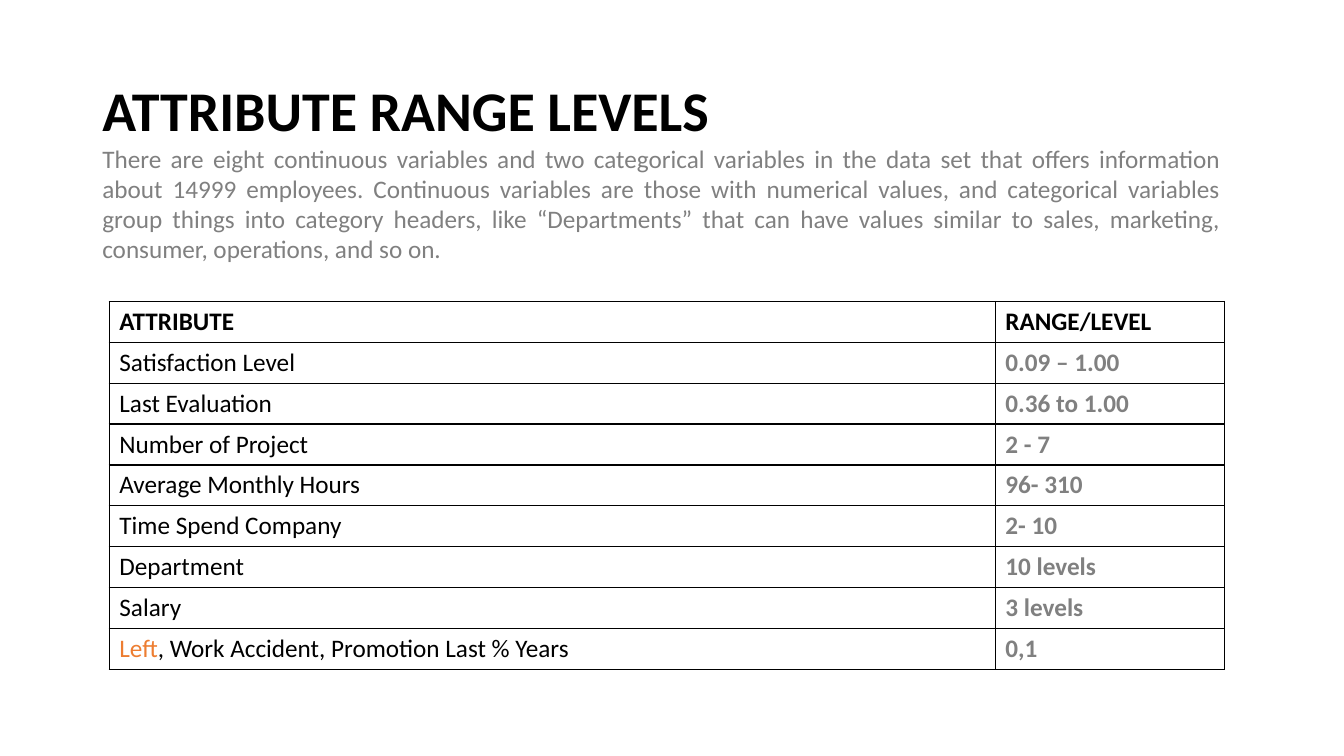
from dataclasses import dataclass

from lxml import etree
from pptx import Presentation
from pptx.dml.color import RGBColor
from pptx.enum.text import MSO_ANCHOR, PP_ALIGN
from pptx.oxml.ns import qn
from pptx.slide import Slide
from pptx.table import _Cell
from pptx.text.text import _Paragraph
from pptx.util import Pt

LEFT, JUST = PP_ALIGN.LEFT, PP_ALIGN.JUSTIFY
TOP, MIDDLE = MSO_ANCHOR.TOP, MSO_ANCHOR.MIDDLE

FONT = "Calibri"
COLORS = {"ink": "000000", "gray": "808080", "accent": "ED7D31"}
EDGES = ("a:lnL", "a:lnR", "a:lnT", "a:lnB")
COLS = (632.9, 163.4)
ROW = 29.2


@dataclass(frozen=True)
class Run:
    text: str
    color: str = "ink"
    bold: bool = False
    size: float = 18


@dataclass(frozen=True)
class Block:
    left: float
    top: float
    width: float
    height: float
    run: Run
    align: PP_ALIGN = LEFT
    anchor: MSO_ANCHOR = TOP
    space: float = 1.0


@dataclass(frozen=True)
class Entry:
    label: tuple[Run, ...]
    level: Run


def entry(name: str, level: str) -> Entry:
    return Entry((Run(name),), Run(level, "gray", True))


BLOCKS = (
    Block(66, 28.8, 828, 104.4, Run("ATTRIBUTE RANGE LEVELS", bold=True, size=40),
          anchor=MIDDLE, space=0.9),
    Block(66, 98.6, 813, 94.5, Run(
        "There are eight continuous variables and two categorical variables "
        "in the data set that offers information about 14999 employees. "
        "Continuous variables are those with numerical values, and categorical "
        "variables group things into category headers, like “Departments” that "
        "can have values similar to sales, marketing, consumer, operations, "
        "and so on.", "gray"), align=JUST),
)

ENTRIES = (
    Entry((Run("ATTRIBUTE", bold=True),), Run("RANGE/LEVEL", bold=True)),
    entry("Satisfaction Level", "0.09 – 1.00"),
    entry("Last Evaluation", "0.36 to 1.00"),
    entry("Number of Project", "2 - 7"),
    entry("Average Monthly Hours", "96- 310"),
    entry("Time Spend Company", "2- 10"),
    entry("Department", "10 levels"),
    entry("Salary", "3 levels"),
    Entry((Run("Left", "accent"), Run(", Work Accident, Promotion Last % Years")),
          Run("0,1", "gray", True)),
)


def add_run(para: _Paragraph, run: Run) -> None:
    part = para.add_run()
    part.text = run.text
    part.font.name = FONT
    part.font.size = Pt(run.size)
    part.font.bold = run.bold
    part.font.color.rgb = RGBColor.from_string(COLORS[run.color])


def add_block(slide: Slide, block: Block) -> None:
    box = slide.shapes.add_textbox(
        Pt(block.left), Pt(block.top), Pt(block.width), Pt(block.height))
    frame = box.text_frame
    frame.word_wrap = True
    frame.vertical_anchor = block.anchor
    para = frame.paragraphs[0]
    para.alignment = block.align
    para.line_spacing = block.space
    add_run(para, block.run)


def add_edges(cell: _Cell) -> None:
    props = cell._tc.get_or_add_tcPr()
    for spot, tag in enumerate(EDGES):
        line = etree.Element(qn(tag), w=str(Pt(1)))
        fill = etree.SubElement(line, qn("a:solidFill"))
        etree.SubElement(fill, qn("a:srgbClr"), val=COLORS["ink"])
        props.insert(spot, line)


def fill_cell(cell: _Cell, runs: tuple[Run, ...]) -> None:
    cell.fill.background()
    add_edges(cell)
    for run in runs:
        add_run(cell.text_frame.paragraphs[0], run)


def add_grid(slide: Slide) -> None:
    count = len(ENTRIES)
    table = slide.shapes.add_table(
        count, len(COLS), Pt(78.1), Pt(215.3), Pt(sum(COLS)), Pt(ROW * count)).table
    table.first_row = False
    table.horz_banding = False
    for col, width in zip(table.columns, COLS):
        col.width = Pt(width)
    for row, item in zip(table.rows, ENTRIES):
        row.height = Pt(ROW)
        fill_cell(row.cells[0], item.label)
        fill_cell(row.cells[1], (item.level,))


def main() -> None:
    deck = Presentation()
    deck.slide_width, deck.slide_height = Pt(960), Pt(540)
    slide = deck.slides.add_slide(deck.slide_layouts[6])

    # Title and introduction
    for block in BLOCKS:
        add_block(slide, block)

    # Attribute table
    add_grid(slide)

    deck.save("out.pptx")


if __name__ == "__main__":
    main()
